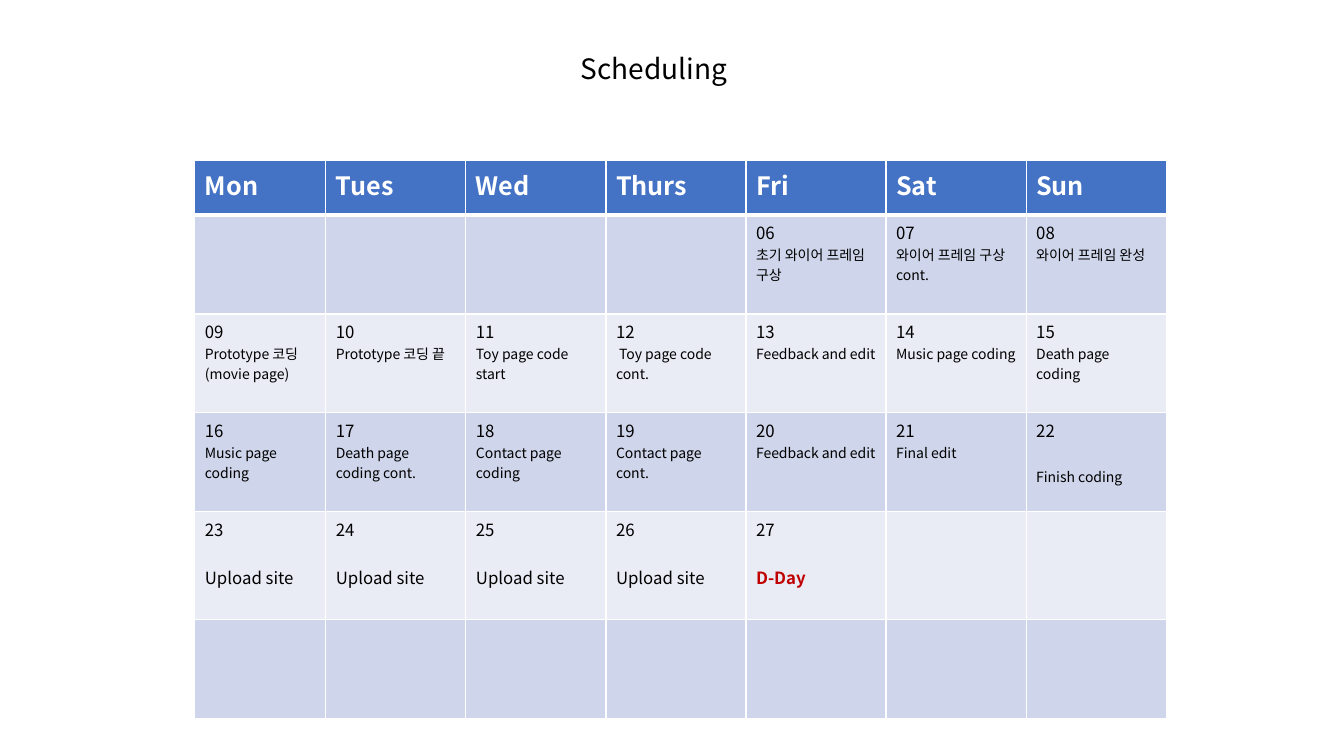
from dataclasses import dataclass

from lxml.etree import SubElement
from pptx import Presentation
from pptx.dml.color import RGBColor
from pptx.enum.text import MSO_AUTO_SIZE as AutoSize
from pptx.oxml.ns import qn
from pptx.util import Cm, Pt

FONT = "Noto Sans CJK KR"
COLORS = {
    "header": "4472C4",
    "odd_week": "CFD5EA",
    "even_week": "E9EBF5",
    "white": "FFFFFF",
    "text": "000000",
    "deadline": "C00000",
}
WEEKDAYS = ["Mon", "Tues", "Wed", "Thurs", "Fri", "Sat", "Sun"]
COLUMN_WIDTHS = [3.3] + [3.53] * 6
ROW_HEIGHTS = [1.37, 2.49, 2.49, 2.49, 2.72, 2.49]
FIRST_DATE = 6
FIRST_COLUMN = 4


@dataclass(frozen=True)
class Task:
    lines: tuple[str, ...]
    size: int = 10
    gap: int = 0
    color: str = "text"
    bold: bool = False


UPLOAD = Task(("Upload site",), size=12, gap=17)
TASKS = [
    Task(("초기 와이어 프레임 구상",)),
    Task(("와이어 프레임 구상 cont.",)),
    Task(("와이어 프레임 완성",)),
    Task(("Prototype 코딩", "(movie page)")),
    Task(("Prototype 코딩 끝",)),
    Task(("Toy page code start",)),
    Task((" Toy page code cont.",)),
    Task(("Feedback and edit",)),
    Task(("Music page coding",)),
    Task(("Death page coding",)),
    Task(("Music page coding",)),
    Task(("Death page coding cont.",)),
    Task(("Contact page coding",)),
    Task(("Contact page cont.",)),
    Task(("Feedback and edit",)),
    Task(("Final edit",)),
    Task(("Finish coding",), gap=17),
    *[UPLOAD] * 4,
    Task(("D-Day",), size=12, gap=17, color="deadline", bold=True),
]


def write(para, text: str, *, size: int, color: str = "text",
          bold: bool = False, gap: int = 0) -> None:
    """Add one formatted span, with a gap in points above its paragraph."""
    para.space_before = Pt(gap)
    span = para.add_run()
    span.text = text
    font = span.font
    font.name, font.size, font.bold = FONT, Pt(size), bold
    font.color.rgb = RGBColor.from_string(COLORS[color])
    SubElement(font._element, qn("a:ea"), typeface=FONT)


def style_cell(cell, row: int) -> None:
    """Give a cell its white borders and the fill of its row."""
    properties = cell._tc.get_or_add_tcPr()
    top = 3 if row == 1 else 1
    bottom = 3 if row == 0 else 1
    for side, width in (("L", 1), ("R", 1), ("T", top), ("B", bottom)):
        line = SubElement(properties, qn(f"a:ln{side}"), w=str(Pt(width)))
        fill = SubElement(line, qn("a:solidFill"))
        SubElement(fill, qn("a:srgbClr"), val=COLORS["white"])
    name = "header" if row == 0 else ("even_week", "odd_week")[row % 2]
    cell.fill.solid()
    cell.fill.fore_color.rgb = RGBColor.from_string(COLORS[name])


def add_title(page) -> None:
    box = page.shapes.add_textbox(Cm(14.38), Cm(1.17), Cm(5.11), Cm(1.12))
    frame = box.text_frame
    frame.word_wrap = True
    frame.auto_size = AutoSize.SHAPE_TO_FIT_TEXT
    write(frame.paragraphs[0], "Scheduling", size=20)


def add_calendar(page) -> None:
    table = page.shapes.add_table(
        len(ROW_HEIGHTS), len(WEEKDAYS), Cm(4.91), Cm(4.05),
        Cm(sum(COLUMN_WIDTHS)), Cm(sum(ROW_HEIGHTS))).table
    for column, width in zip(table.columns, COLUMN_WIDTHS):
        column.width = Cm(width)
    for index, height in enumerate(ROW_HEIGHTS):
        table.rows[index].height = Cm(height)
        for cell in table.rows[index].cells:
            style_cell(cell, index)

    for column, day in enumerate(WEEKDAYS):
        para = table.cell(0, column).text_frame.paragraphs[0]
        write(para, day, size=18, color="white", bold=True)

    for index, task in enumerate(TASKS):
        week, column = divmod(FIRST_COLUMN + index, len(WEEKDAYS))
        frame = table.cell(week + 1, column).text_frame
        write(frame.paragraphs[0], f"{FIRST_DATE + index:02d}", size=12)
        for text in task.lines:
            write(frame.add_paragraph(), text, size=task.size,
                  color=task.color, bold=task.bold, gap=task.gap)


def main() -> None:
    deck = Presentation()
    deck.slide_width, deck.slide_height = Cm(33.87), Cm(19.05)
    page = deck.slides.add_slide(deck.slide_layouts[6])
    add_calendar(page)
    add_title(page)
    deck.save("out.pptx")


if __name__ == "__main__":
    main()
